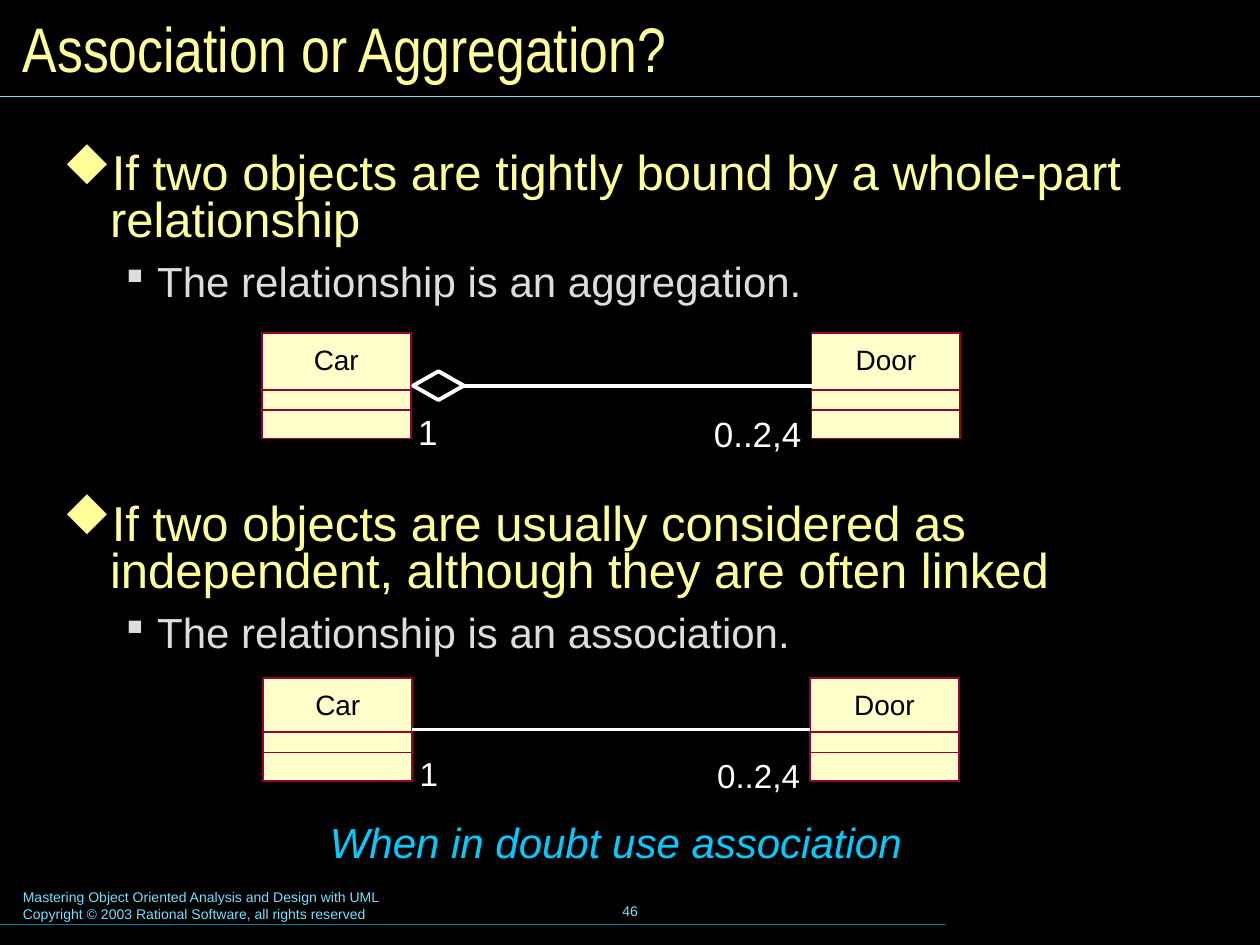
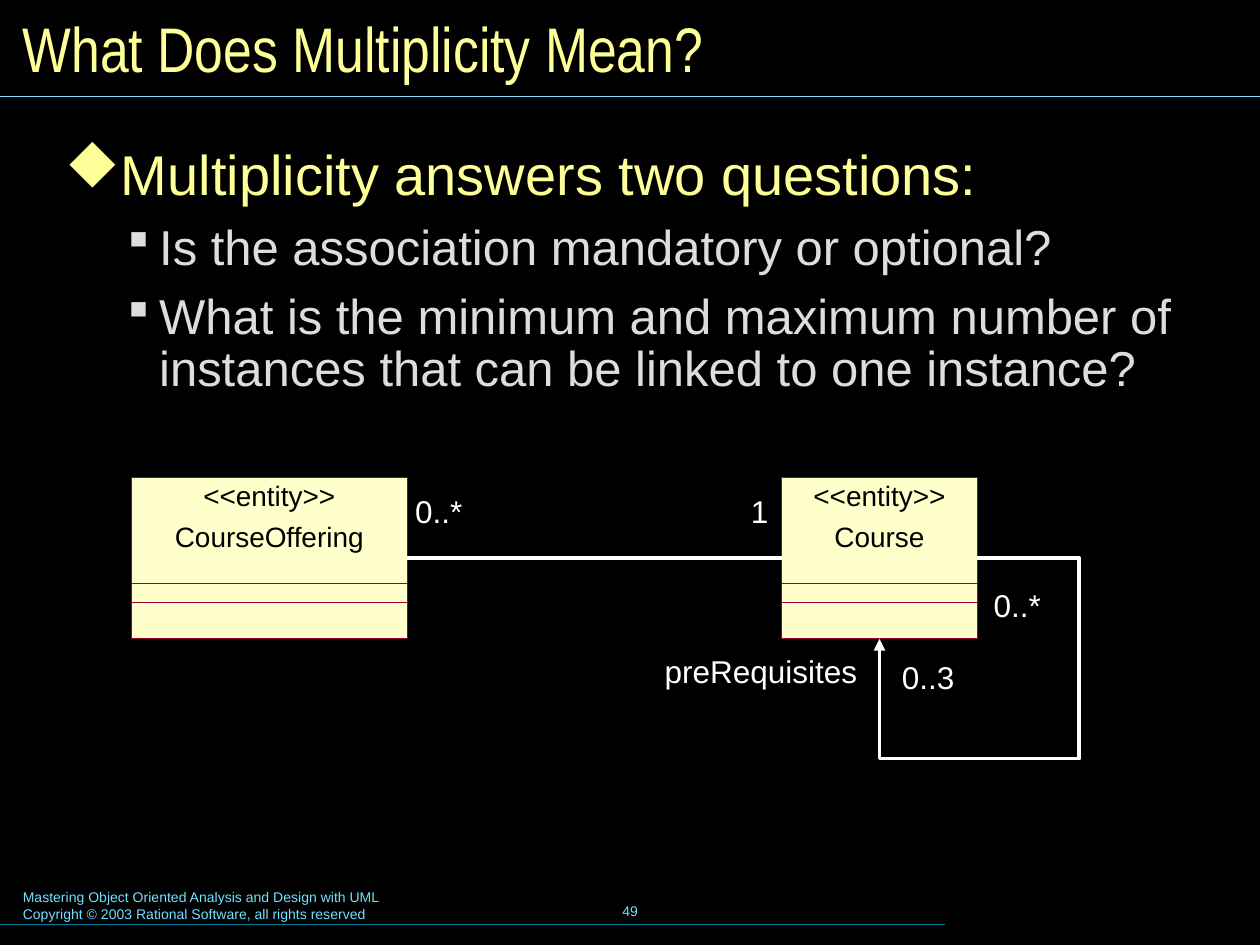
from lxml import etree
from pptx import Presentation
from pptx.dml.color import RGBColor
from pptx.enum.shapes import MSO_CONNECTOR, MSO_SHAPE
from pptx.enum.text import MSO_ANCHOR, PP_ALIGN
from pptx.oxml.ns import qn
from pptx.util import Cm, Pt

STRAIGHT = MSO_CONNECTOR.STRAIGHT
RECTANGLE, DIAMOND = MSO_SHAPE.RECTANGLE, MSO_SHAPE.DIAMOND
TOP, MIDDLE = MSO_ANCHOR.TOP, MSO_ANCHOR.MIDDLE
LEFT, CENTER, RIGHT = PP_ALIGN.LEFT, PP_ALIGN.CENTER, PP_ALIGN.RIGHT
LEFT_SIDE, RIGHT_SIDE = 1, 3

BLACK = RGBColor(0x00, 0x00, 0x00)
WHITE = RGBColor(0xFF, 0xFF, 0xFF)
YELLOW = RGBColor(0xFF, 0xFF, 0x99)
GREY = RGBColor(0xDD, 0xDD, 0xDD)
CREAM = RGBColor(0xFF, 0xFF, 0xCC)
MAROON = RGBColor(0x99, 0x00, 0x33)
CYAN = RGBColor(0x00, 0xCC, 0xFF)
PALE_CYAN = RGBColor(0x73, 0xE1, 0xFF)
TEAL = RGBColor(0x00, 0x7E, 0x9F)

WIDTH, HEIGHT = 25.4, 19.05
FOOTER = ["Mastering Object Oriented Analysis and Design with UML",
          "Copyright © 2003 Rational Software, all rights reserved"]
BULLET_FONT = "Wingdings"
BULLETS = [
    dict(char="u", color=YELLOW, margin=0.95, hang=0.95, spacing=0.8),
    dict(char="§", color=GREY, margin=1.9, hang=0.64, spacing=0.87),
]


def write_text(frame, lines, size=16, color=BLACK, font="Arial", italic=False,
               align=LEFT, anchor=TOP, insets=(0, 0, 0, 0), wrap=True, gap=0):
    frame.word_wrap = wrap
    frame.vertical_anchor = anchor
    (frame.margin_left, frame.margin_top,
     frame.margin_right, frame.margin_bottom) = [Cm(inset) for inset in insets]
    for index, line in enumerate(lines):
        paragraph = frame.paragraphs[0] if index == 0 else frame.add_paragraph()
        paragraph.alignment = align
        if index:
            paragraph.space_before = Pt(gap)
        run = paragraph.add_run()
        run.text = line
        run.font.size = Pt(size)
        run.font.name = font
        run.font.italic = italic
        run.font.color.rgb = color


def add_text(slide, lines, left, top, width, height, **text_format):
    box = slide.shapes.add_textbox(Cm(left), Cm(top), Cm(width), Cm(height))
    write_text(box.text_frame, lines, **text_format)
    return box.text_frame


def add_line(slide, start, end, color=WHITE, weight=2.25):
    line = slide.shapes.add_connector(STRAIGHT, Cm(start[0]), Cm(start[1]),
                                      Cm(end[0]), Cm(end[1]))
    line.line.color.rgb = color
    line.line.width = Pt(weight)
    etree.SubElement(line._element.spPr, qn("a:effectLst"))
    return line


def link(slide, source, target):
    association = add_line(slide, (0, 0), (1, 1))
    association.begin_connect(source, RIGHT_SIDE)
    association.end_connect(target, LEFT_SIDE)


def add_outline(slide, preset, left, top, width, height, color, weight, fill=None):
    shape = slide.shapes.add_shape(preset, Cm(left), Cm(top), Cm(width), Cm(height))
    shape.shadow.inherit = False
    shape.line.color.rgb = color
    shape.line.width = Pt(weight)
    if fill is None:
        shape.fill.background()
    else:
        shape.fill.solid()
        shape.fill.fore_color.rgb = fill
    return shape


def add_class(slide, names, left, top, width, height, compartments, weight, inset):
    body = add_outline(slide, RECTANGLE, left, top, width, height, MAROON, weight, CREAM)
    write_text(body.text_frame, names, align=CENTER, insets=(0, inset, 0, 0), gap=4)
    for depth in compartments:
        add_outline(slide, RECTANGLE, left, top + height - depth, width, depth,
                    MAROON, weight)
    return body


def add_bullets(slide, items, left, top, width, height, size, gap):
    frame = add_text(slide, [text for _, text in items], left, top, width, height,
                     insets=(0.3, 0.15, 0.3, 0.15))
    for index, (level, _) in enumerate(items):
        style = BULLETS[level]
        paragraph = frame.paragraphs[index]
        properties = paragraph._p.get_or_add_pPr()
        properties.set("marL", str(Cm(style["margin"])))
        properties.set("indent", str(-Cm(style["hang"])))
        bullet_color = etree.SubElement(properties, qn("a:buClr"))
        etree.SubElement(bullet_color, qn("a:srgbClr"), val=str(style["color"]))
        etree.SubElement(properties, qn("a:buFont"), typeface=BULLET_FONT,
                         pitchFamily="2", charset="2")
        etree.SubElement(properties, qn("a:buChar"), char=style["char"])
        paragraph.level = level
        paragraph.line_spacing = style["spacing"]
        if index:
            paragraph.space_before = Pt(gap)
        font = paragraph.runs[0].font
        font.size = Pt(size - 4 * level)
        font.color.rgb = style["color"]


def add_framed_slide(prs, title, number):
    slide = prs.slides.add_slide(prs.slide_layouts[5])
    heading = slide.shapes.title
    heading.left, heading.top, heading.width, heading.height = (
        Cm(0.21), Cm(0.21), Cm(25), Cm(1.47))
    padding = (0.25, 0.13, 0.25, 0.13)
    write_text(heading.text_frame, [title], size=36, color=YELLOW,
               font="Arial Narrow", anchor=MIDDLE, insets=padding)
    add_line(slide, (0, 1.94), (WIDTH, 1.94), PALE_CYAN, 0.75)
    add_line(slide, (0, 18.63), (WIDTH * 0.75, 18.63), TEAL, 0.75)
    add_text(slide, FOOTER, 0.21, 17.78, 12.95, 0.94, size=8, color=PALE_CYAN,
             insets=padding)
    add_text(slide, [str(number)], 8.68, 17.73, 8.05, 1.27, size=8,
             color=PALE_CYAN, align=CENTER, anchor=MIDDLE, insets=padding)
    return slide


def add_car_diagram(slide, left, top, width, height, label_size, aggregation):
    class_width = 3
    compartments = (0.98, 0.57)
    door_left = left + width - class_width
    car_right = left + class_width
    bottom = top + height
    car, door = [
        add_class(slide, [name], class_left, top, class_width, height,
                  compartments, 1, 0.2)
        for name, class_left in (("Car", left), ("Door", door_left))]
    source = car
    if aggregation:
        source = add_outline(slide, DIAMOND, car_right + 0.05, top + height / 2 - 0.29,
                             1.02, 0.58, WHITE, 2.25)
    link(slide, source, door)
    label = dict(size=label_size, color=WHITE, wrap=False)
    add_text(slide, ["1"], car_right + 0.15, bottom - 0.56, 0.4, 0.83, **label)
    add_text(slide, ["0..2,4"], door_left - 1.98, bottom - 0.52, 1.78, 0.83,
             align=RIGHT, **label)


def add_course_diagram(slide, left, top, width, height):
    compartments = (1.12, 0.74)
    offering_width, course_width = 5.56, 3.94
    course_left = left + width - course_width
    right, bottom = left + width, top + height
    offering = add_class(slide, ["<<entity>>", "CourseOffering"], left, top,
                         offering_width, height, compartments, 0, 0.02)
    course = add_class(slide, ["<<entity>>", "Course"], course_left, top,
                       course_width, height, compartments, 0, 0.02)
    link(slide, offering, course)

    center, middle = course_left + course_width / 2, top + height / 2
    loop_right, loop_bottom = right + 2.06, bottom + 2.41
    path = slide.shapes.build_freeform(Cm(right), Cm(middle))
    path.add_line_segments(
        [(Cm(x), Cm(y)) for x, y in ((loop_right, middle), (loop_right, loop_bottom),
                                     (center, loop_bottom), (center, bottom))],
        close=False)
    loop = path.convert_to_shape()
    loop.shadow.inherit = False
    loop.fill.background()
    loop.line.color.rgb = WHITE
    loop.line.width = Pt(2.25)
    etree.SubElement(loop.line._get_or_add_ln(), qn("a:tailEnd"), type="triangle")

    for text, x, y, label_width in (
            ("0..*", left + offering_width + 0.16, top + 0.28, 0.97),
            ("1", course_left - 0.62, top + 0.28, 0.36),
            ("0..*", right + 0.33, top + 2.18, 0.97),
            ("preRequisites", center - 4.33, bottom + 0.27, 3.89),
            ("0..3", center + 0.45, bottom + 0.38, 1.07)):
        add_text(slide, [text], x, y, label_width, 0.76, size=18, color=WHITE, wrap=False)


def build_aggregation_slide(prs):
    slide = add_framed_slide(prs, "Association or Aggregation?", 46)
    cases = (
        ("If two objects are tightly bound by a whole-part relationship",
         "The relationship is an aggregation.", 2.93),
        ("If two objects are usually considered as independent, "
         "although they are often linked",
         "The relationship is an association.", 10),
    )
    for condition, conclusion, top in cases:
        add_bullets(slide, [(0, condition), (1, conclusion)], 0.97, top, 22.45, 3.5,
                    size=28, gap=9)
    add_car_diagram(slide, 5.28, 6.71, 14.08, 2.13, 20, True)
    add_car_diagram(slide, 5.31, 13.67, 14.02, 2.07, 19, False)
    add_text(slide, ["When in doubt use association"], 6.4, 16.33, 12.24, 1.27,
             size=24, color=CYAN, italic=True, insets=(0.25, 0.13, 0.25, 0.13))


def build_multiplicity_slide(prs):
    slide = add_framed_slide(prs, "What Does Multiplicity Mean?", 49)
    questions = [
        (0, "Multiplicity answers two questions:"),
        (1, "Is the association mandatory or optional?"),
        (1, "What is the minimum and maximum number of instances "
            "that can be linked to one instance?"),
    ]
    add_bullets(slide, questions, 1.01, 2.92, 23.6, 5.33, size=32, gap=10.5)
    add_course_diagram(slide, 2.65, 9.63, 17.05, 3.25)


def main():
    prs = Presentation()
    prs.slide_width, prs.slide_height = Cm(WIDTH), Cm(HEIGHT)
    background = prs.slide_master.background.fill
    background.solid()
    background.fore_color.rgb = BLACK
    build_aggregation_slide(prs)
    build_multiplicity_slide(prs)
    prs.save("out.pptx")


if __name__ == "__main__":
    main()
